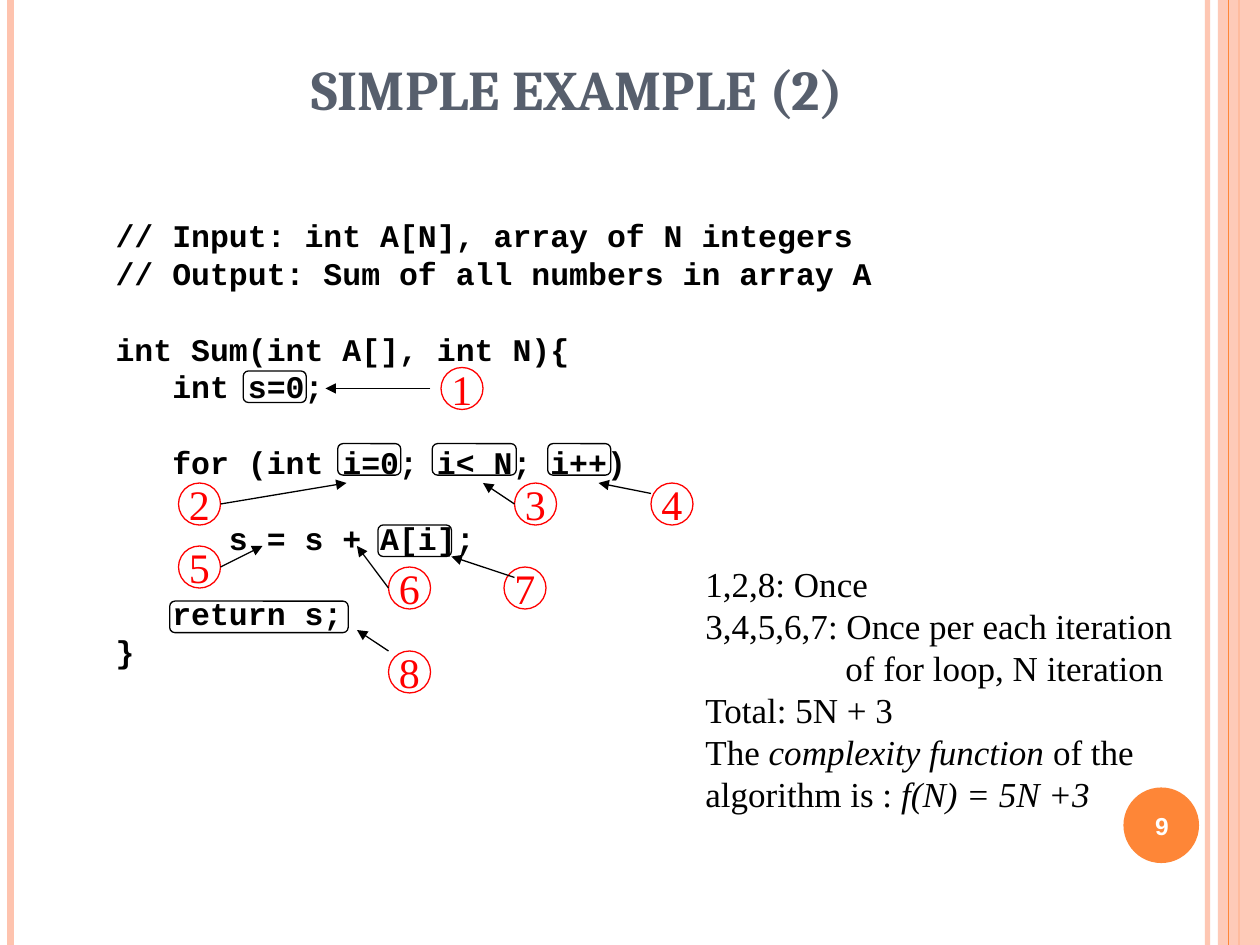
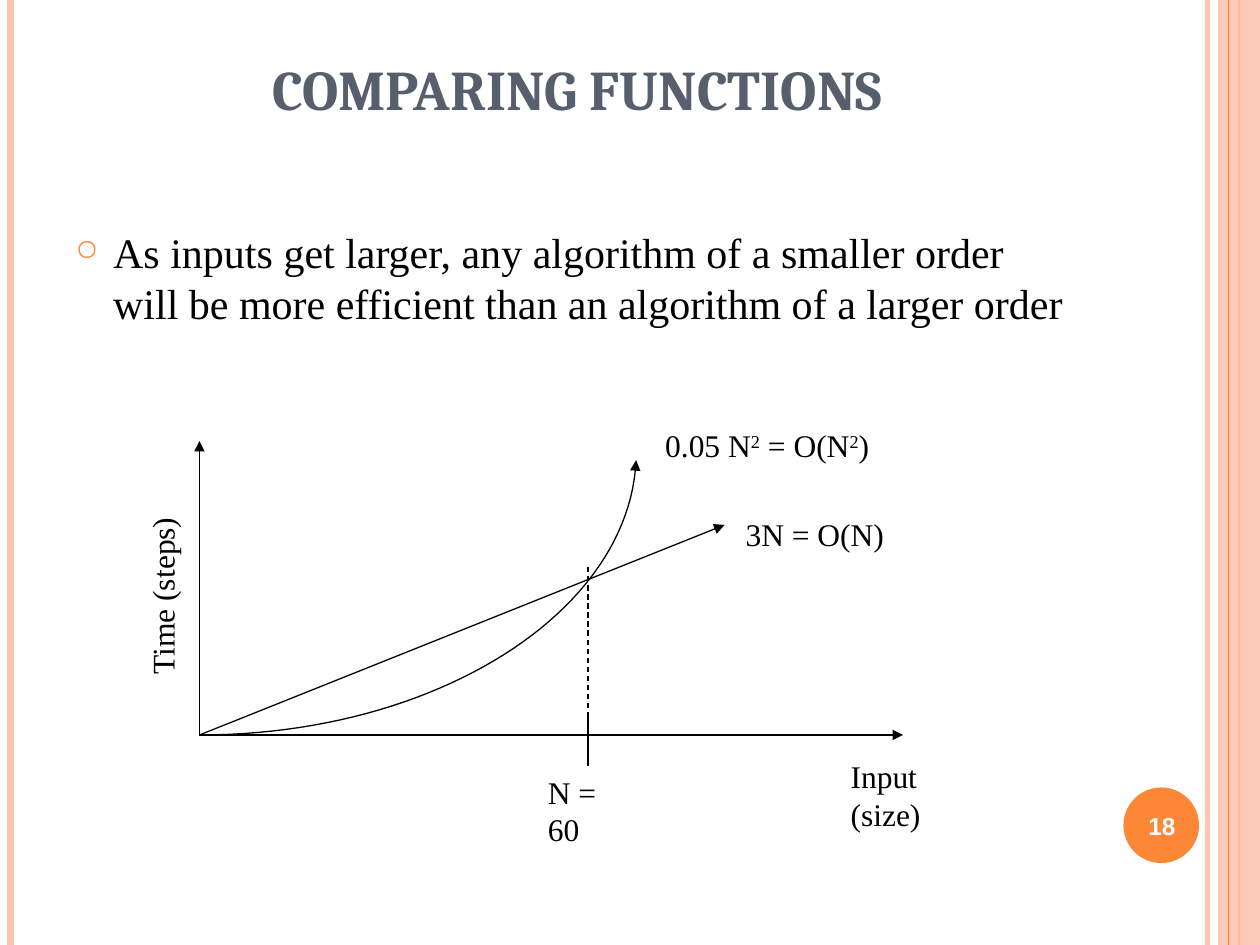
"""Build two slides on algorithm complexity: a counted loop and a growth comparison."""
import pptx
import pptx.dml.color
import pptx.enum.dml
import pptx.enum.shapes
import pptx.enum.text
import pptx.oxml.ns
import pptx.util
from lxml import etree

Pt = pptx.util.Pt
qn = pptx.oxml.ns.qn
SHAPES = pptx.enum.shapes.MSO_SHAPE
ALIGN = pptx.enum.text.PP_ALIGN
ANCHOR = pptx.enum.text.MSO_ANCHOR

COLOURS = {
    "ink": "000000",
    "title": "575F6D",
    "accent": "FE8637",
    "band": "FEC3AE",
    "step": "FF0000",
    "white": "FFFFFF",
}
SERIF = "Times New Roman"
LINE_RATIO = 1.2
SLIDE_HEIGHT = 540
CODE_SIZE = 18
CODE_CHARACTER = 10.8
STEP_DIAMETER = 24
CODE_BOX_HEIGHT = 18

CODE = [
    (0, 0, "// Input: int A[N], array of N integers"),
    (0, 0, "// Output: Sum of all numbers in array A"),
    (1, 0, "int Sum(int A[], int N){"),
    (0, 3, "int s=0;"),
    (1, 3, "for (int i=0; i< N; i++)"),
    (1, 6, "s = s + A[i];"),
    (1, 3, "return s;"),
    (0, 0, "}"),
]
CODE_BOXES = [
    (97, 343.5, 102), (139, 212, 36), (193, 253.5, 36),
    (216, 300, 42), (247, 253.5, 48), (313, 253.5, 36),
]
STEPS = [
    (252, 210), (102, 276), (294, 276), (372, 276),
    (102, 312), (222, 324), (288, 324), (222, 372),
]
STEP_ARROWS = [
    ((246, 222), (186, 222)), ((126, 288), (198, 276)),
    ((294, 288), (276, 276)), ((372, 282), (342, 276)),
    ((126, 324), (150, 312)), ((222, 336), (204, 312)),
    ((294, 330), (258, 318)), ((222, 372), (204, 360)),
]
NOTES = [
    [("1,2,8: Once", "")],
    [("3,4,5,6,7: Once per each iteration", "")],
    [("of for loop, N iteration", "")],
    [("Total: 5N + 3", "")],
    [("The ", ""), ("complexity function", "italic"), (" of the", "")],
    [("algorithm is : ", ""), ("f(N) = 5N +3", "italic")],
]
ORIGIN = (114, 420)
CURVE = [ORIGIN, (249, 420), (359.5, 350), (363.5, 263)]


def colour(name):
    return pptx.dml.color.RGBColor.from_string(COLOURS[name])


def set_opacity(element, percent):
    alpha = etree.SubElement(element.find(".//" + qn("a:srgbClr")), qn("a:alpha"))
    alpha.set("val", str(percent * 1000))


def style_line(shape, colour_name="ink", width=0.75, arrow=False):
    shape.line.color.rgb = colour(colour_name)
    shape.line.width = Pt(width)
    if arrow:
        outline = shape.element.spPr.find(qn("a:ln"))
        etree.SubElement(outline, qn("a:tailEnd")).set("type", "triangle")


def add_line(slide, start, end, colour_name="ink", width=0.75, arrow=False):
    connector = slide.shapes.add_connector(
        pptx.enum.shapes.MSO_CONNECTOR.STRAIGHT, *map(Pt, start + end))
    style_line(connector, colour_name, width, arrow)
    etree.SubElement(connector.element.spPr, qn("a:effectLst"))
    return connector


def add_shape(slide, kind, box, fill=None, line=None):
    shape = slide.shapes.add_shape(kind, *map(Pt, box))
    shape.shadow.inherit = False
    if fill:
        shape.fill.solid()
        shape.fill.fore_color.rgb = colour(fill)
    else:
        shape.fill.background()
    if line:
        style_line(shape, line)
    else:
        shape.line.fill.background()
    return shape


def format_paragraph(paragraph, size, font=SERIF, colour_name="ink", bold=False, align=ALIGN.LEFT):
    paragraph.font.size = Pt(size)
    paragraph.font.name = font
    paragraph.font.bold = bold
    paragraph.font.color.rgb = colour(colour_name)
    paragraph.alignment = align
    paragraph.line_spacing = Pt(size * LINE_RATIO)


def indent(paragraph, left, first=0):
    properties = paragraph._p.get_or_add_pPr()
    properties.set("marL", str(Pt(left)))
    properties.set("indent", str(Pt(first)))


def add_bullet(paragraph, symbol):
    indent(paragraph, 21.6, -21.6)
    properties = paragraph._p.get_or_add_pPr()
    bullet_colour = etree.Element(qn("a:buClr"))
    etree.SubElement(bullet_colour, qn("a:srgbClr")).set("val", COLOURS["accent"])
    bullet_size = etree.Element(qn("a:buSzPct"))
    bullet_size.set("val", "70000")
    bullet = etree.Element(qn("a:buChar"))
    bullet.set("char", symbol)
    position = properties.index(properties.find(qn("a:defRPr")))
    properties[position:position] = [bullet_colour, bullet_size, bullet]


def add_text(slide, box, paragraphs, size, wrap=False, **style):
    """Add a text box; each paragraph is a list of (text, effect) runs."""
    text_box = slide.shapes.add_textbox(*map(Pt, box))
    frame = text_box.text_frame
    frame.word_wrap = wrap
    for index, runs in enumerate(paragraphs):
        paragraph = frame.add_paragraph() if index else frame.paragraphs[0]
        for text, effect in runs:
            run = paragraph.add_run()
            run.text = text
            if effect == "italic":
                run.font.italic = True
            elif effect == "superscript":
                run._r.get_or_add_rPr().set("baseline", "30000")
        format_paragraph(paragraph, size, **style)
    return text_box


def add_step(slide, number, corner):
    circle = add_shape(slide, SHAPES.OVAL, corner + (STEP_DIAMETER, STEP_DIAMETER), line="step")
    frame = circle.text_frame
    frame.word_wrap = False
    frame.vertical_anchor = ANCHOR.MIDDLE
    frame.text = str(number)
    format_paragraph(frame.paragraphs[0], 24, colour_name="step", align=ALIGN.CENTER)


def add_curve(slide, controls, segments=48):
    points = []
    for index in range(segments + 1):
        t = index / segments
        weights = ((1 - t) ** 3, 3 * t * (1 - t) ** 2, 3 * t * t * (1 - t), t ** 3)
        points.append(tuple(
            Pt(sum(weight * control[axis] for weight, control in zip(weights, controls)))
            for axis in (0, 1)))
    builder = slide.shapes.build_freeform(*points[0])
    builder.add_line_segments(points[1:], close=False)
    curve = builder.convert_to_shape()
    curve.shadow.inherit = False
    curve.fill.background()
    style_line(curve, arrow=True)


def add_band(slide, x, colour_name, width):
    return add_line(slide, (x, 0), (x, SLIDE_HEIGHT), colour_name, width)


def add_base_slide(presentation, title, number):
    """Add a slide with the side bands, the title and the page number."""
    slide = presentation.slides.add_slide(presentation.slide_layouts[5])
    set_opacity(add_band(slide, 690, "band", 3).element, 93)
    add_band(slide, 6, "band", 4.5)
    add_band(slide, 708, "accent", 1.5)
    set_opacity(add_shape(slide, SHAPES.RECTANGLE, (696, 0, 24, SLIDE_HEIGHT), "band").element, 87)
    add_band(slide, 702, "accent", 0.75)
    add_shape(slide, SHAPES.OVAL, (642, 450, 43.2, 43.2), "accent")

    heading = slide.shapes.title
    heading.left, heading.top, heading.width, heading.height = map(Pt, (36, 21.6, 588, 90))
    frame = heading.text_frame
    frame.text = title
    frame.auto_size = pptx.enum.text.MSO_AUTO_SIZE.NONE
    frame.vertical_anchor = ANCHOR.BOTTOM
    frame.margin_bottom = Pt(42)
    format_paragraph(frame.paragraphs[0], 32, "Cambria", "title", True, ALIGN.CENTER)

    page = add_text(slide, (640, 451.5, 48, 41), [[(str(number), "")]], 14, wrap=True,
                    font="Arial", colour_name="white", bold=True, align=ALIGN.CENTER)
    page.text_frame.vertical_anchor = ANCHOR.MIDDLE
    return slide


def add_code(slide):
    box = add_text(slide, (59, 120, 446.4, 288), [[(text, "")] for _, _, text in CODE],
                   CODE_SIZE, font="Courier New", bold=True)
    for paragraph, (lines_before, characters, _) in zip(box.text_frame.paragraphs, CODE):
        paragraph.space_before = Pt(lines_before * CODE_SIZE * LINE_RATIO)
        indent(paragraph, characters * CODE_CHARACTER)


def build_example(presentation):
    slide = add_base_slide(presentation, "SIMPLE EXAMPLE (2)", 9)
    add_code(slide)
    for left, top, width in CODE_BOXES:
        add_shape(slide, SHAPES.ROUNDED_RECTANGLE, (left, top, width, CODE_BOX_HEIGHT), line="ink")
    for number, corner in enumerate(STEPS, 1):
        add_step(slide, number, corner)
    for start, end in STEP_ARROWS:
        add_line(slide, start, end, arrow=True)
    notes = add_text(slide, (396, 318, 281.5, 151.2), NOTES, 20)
    indent(notes.text_frame.paragraphs[2], 80)


def build_comparison(presentation):
    slide = add_base_slide(presentation, "COMPARING FUNCTIONS", 18)
    statement = ("As inputs get larger, any algorithm of a smaller order "
                 "will be more efficient than an algorithm of a larger order")
    body = add_text(slide, (36, 126, 585, 384), [[(statement, "")]], 24, wrap=True)
    paragraph = body.text_frame.paragraphs[0]
    paragraph.space_before = Pt(6)
    add_bullet(paragraph, "○")

    for end in ((114, 252), (516, 420), (414, 300)):
        add_line(slide, ORIGIN, end, arrow=True)
    add_curve(slide, CURVE)
    add_line(slide, (336, 408), (336, 438))
    crossing = add_line(slide, (336, 420), (336, 324))
    crossing.line.dash_style = pptx.enum.dml.MSO_LINE.DASH

    square = ("2", "superscript")
    labels = [
        ((40.5, 326, 104.4, 28.8), [("Time (steps)", "")], 270),
        ((479, 429, 96.5, 28.8), [("Input (size)", "")], 0),
        ((419, 291, 93.6, 28.8), [("3N = O(N)", "")], 0),
        ((373, 240, 131, 28.8), [("0.05 N", ""), square, (" = O(N", ""), square, (")", "")], 0),
        ((306, 438, 64, 28.8), [("N = 60", "")], 0),
    ]
    for box, runs, rotation in labels:
        add_text(slide, box, [runs], 18).rotation = rotation


def main():
    presentation = pptx.Presentation()
    presentation.slide_width = Pt(720)
    presentation.slide_height = Pt(SLIDE_HEIGHT)
    build_example(presentation)
    build_comparison(presentation)
    presentation.save("out.pptx")


if __name__ == "__main__":
    main()
